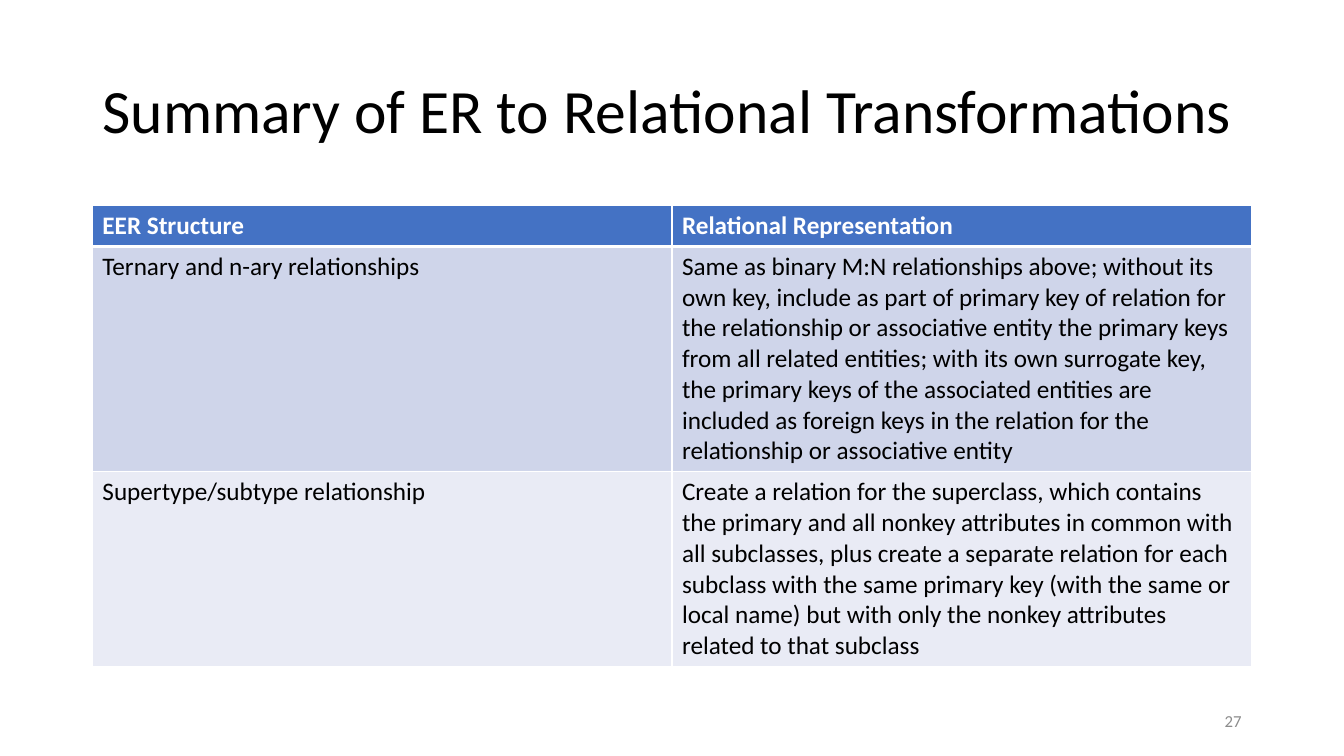
import dataclasses

import lxml.etree
import pptx
import pptx.dml.color
import pptx.enum.text
import pptx.oxml.ns
import pptx.util

Pt = pptx.util.Pt
Align = pptx.enum.text.PP_ALIGN


@dataclasses.dataclass(frozen=True)
class Theme:
    font: str = "Calibri"
    ink: str = "000000"
    paper: str = "FFFFFF"
    muted: str = "8C8C8C"
    head: str = "4472C4"
    bands: tuple[str, str] = ("CFD5EA", "E9EBF5")
    title: float = 44
    body: float = 18
    small: float = 12
    line: float = 1
    rule: float = 3


@dataclasses.dataclass(frozen=True)
class Box:
    left: float
    top: float
    width: float
    height: float


@dataclasses.dataclass(frozen=True)
class Row:
    name: str
    rule: str


THEME = Theme()
TITLE = Box(66, 28.75, 828, 104.4)
TABLE = Box(66, 146.8, 828, 87.6)
NUMBER = Box(678, 500.5, 216, 28.75)
ROWS = [
    Row("EER Structure", "Relational Representation"),
    Row(
        "Ternary and n-ary relationships",
        "Same as binary M:N relationships above; without its own key, include as part "
        "of primary key of relation for the relationship or associative entity the "
        "primary keys from all related entities; with its own surrogate key, the "
        "primary keys of the associated entities are included as foreign keys in the "
        "relation for the relationship or associative entity",
    ),
    Row(
        "Supertype/subtype relationship",
        "Create a relation for the superclass, which contains the primary and all "
        "nonkey attributes in common with all subclasses, plus create a separate "
        "relation for each subclass with the same primary key (with the same or local "
        "name) but with only the nonkey attributes related to that subclass",
    ),
]


def place(box: Box) -> tuple[int, int, int, int]:
    return Pt(box.left), Pt(box.top), Pt(box.width), Pt(box.height)


def tint(code: str) -> pptx.dml.color.RGBColor:
    return pptx.dml.color.RGBColor.from_string(code)


def write(frame, text: str, size: float, ink: str, bold: bool = False, align=Align.LEFT):
    frame.text = text
    par = frame.paragraphs[0]
    par.alignment = align
    par.font.name = THEME.font
    par.font.size = Pt(size)
    par.font.bold = bold
    par.font.color.rgb = tint(ink)
    return par


def edge(cell, side: str, width: float) -> None:
    qn = pptx.oxml.ns.qn
    props = cell._tc.get_or_add_tcPr()
    line = lxml.etree.SubElement(props, qn(f"a:ln{side}"), w=str(int(Pt(width))))
    fill = lxml.etree.SubElement(line, qn("a:solidFill"))
    lxml.etree.SubElement(fill, qn("a:srgbClr"), val=THEME.paper)


def draw_title(slide, text: str) -> None:
    shape = slide.shapes.title
    shape.left, shape.top, shape.width, shape.height = place(TITLE)
    frame = shape.text_frame
    frame.auto_size = pptx.enum.text.MSO_AUTO_SIZE.NONE
    frame.vertical_anchor = pptx.enum.text.MSO_ANCHOR.MIDDLE
    write(frame, text, THEME.title, THEME.ink).line_spacing = 0.9


def draw_table(slide, rows: list[Row]) -> None:
    table = slide.shapes.add_table(len(rows), 2, *place(TABLE)).table
    for i, row in enumerate(rows):
        head = i == 0
        for j, text in enumerate((row.name, row.rule)):
            cell = table.cell(i, j)
            for side in "LRTB":
                thick = (i, side) in ((0, "B"), (1, "T"))
                edge(cell, side, THEME.rule if thick else THEME.line)
            cell.fill.solid()
            cell.fill.fore_color.rgb = tint(THEME.head if head else THEME.bands[i - 1])
            ink = THEME.paper if head else THEME.ink
            write(cell.text_frame, text, THEME.body, ink, head)


def draw_number(slide, text: str) -> None:
    frame = slide.shapes.add_textbox(*place(NUMBER)).text_frame
    frame.word_wrap = True
    frame.vertical_anchor = pptx.enum.text.MSO_ANCHOR.MIDDLE
    write(frame, text, THEME.small, THEME.muted, align=Align.RIGHT)


def main() -> None:
    deck = pptx.Presentation()
    deck.slide_width, deck.slide_height = Pt(960), Pt(540)
    slide = deck.slides.add_slide(deck.slide_layouts[5])
    draw_title(slide, "Summary of ER to Relational Transformations")
    draw_table(slide, ROWS)
    draw_number(slide, "27")
    deck.save("out.pptx")


if __name__ == "__main__":
    main()
